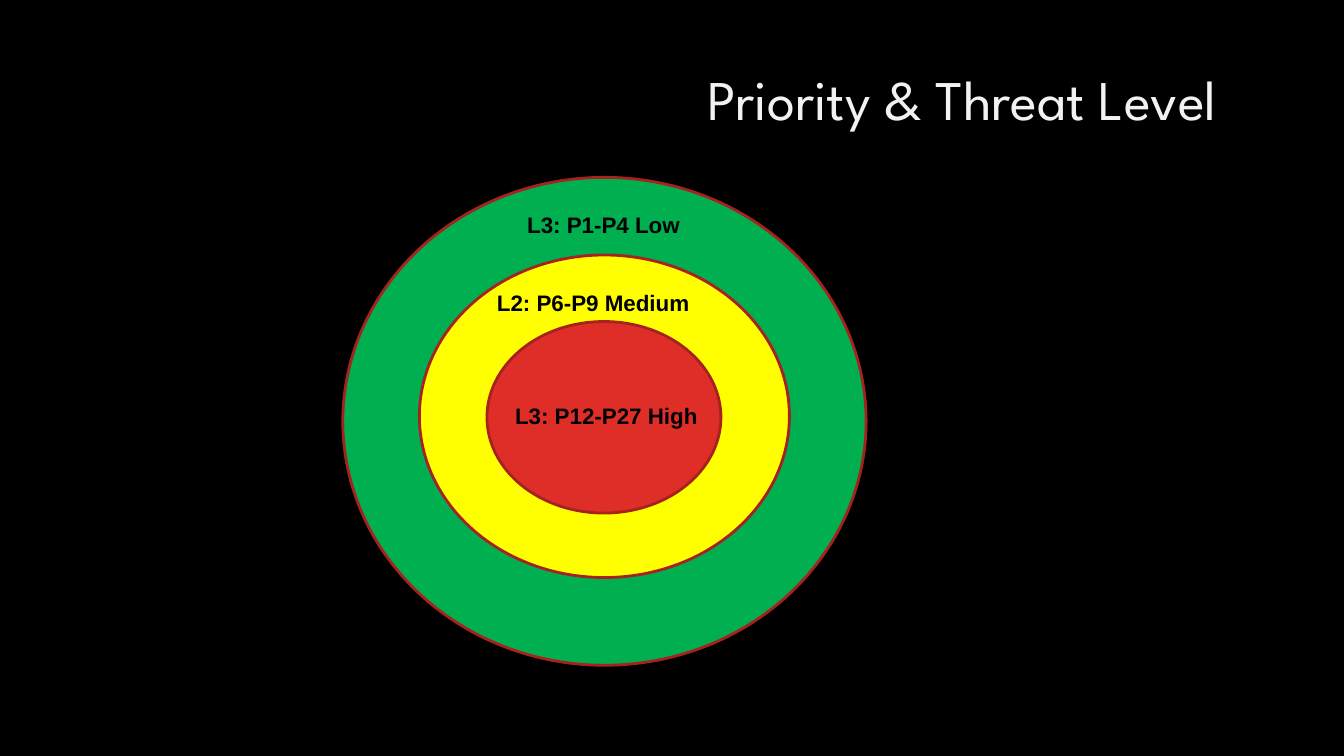
"""Build the Priority & Threat Level slide."""
from dataclasses import dataclass

from pptx import Presentation
from pptx import util as u
from pptx.dml.color import RGBColor
from pptx.enum import shapes as es

BLACK = RGBColor(0x00, 0x00, 0x00)
WHITE = RGBColor(0xF2, 0xF2, 0xF2)
GREEN = RGBColor(0x00, 0xB0, 0x50)
YELLOW = RGBColor(0xFF, 0xFF, 0x00)
RED = RGBColor(0xDF, 0x2E, 0x28)
EDGE = RGBColor(0xA5, 0x22, 0x1E)

Box = tuple[float, float, float, float]
HEAD = {"name": "League Spartan", "size": u.Pt(40)}
BODY = {"name": "Arial", "size": u.Pt(16), "bold": True}


@dataclass
class Ring:
    box: Box
    fill: RGBColor


@dataclass
class Label:
    box: Box
    text: str
    font: dict
    color: RGBColor = BLACK


RINGS = [
    Ring((3.4, 1.76, 5.19, 4.84), GREEN),
    Ring((4.16, 2.53, 3.67, 3.2), YELLOW),
    Ring((4.83, 3.19, 2.32, 1.9), RED),
]
LABELS = [
    Label((6.92, 0.59, 6.17, 0.77), "Priority & Threat Level", HEAD, WHITE),
    Label((5.13, 2.05, 1.72, 0.37), "L3: P1-P4 Low", BODY),
    Label((4.83, 2.82, 2.19, 0.37), "L2: P6-P9 Medium", BODY),
    Label((5.01, 3.94, 2.02, 0.37), "L3: P12-P27 High", BODY),
]


def add_ring(slide, ring: Ring) -> None:
    """Draw one threat ring."""
    oval = slide.shapes.add_shape(es.MSO_SHAPE.OVAL, *map(u.Inches, ring.box))
    oval.shadow.inherit = False
    oval.fill.solid()
    oval.fill.fore_color.rgb = ring.fill
    oval.line.color.rgb = EDGE
    oval.line.width = u.Pt(2)


def add_label(slide, label: Label) -> None:
    """Write one line of text."""
    frame = slide.shapes.add_textbox(*map(u.Inches, label.box)).text_frame
    frame.word_wrap = True
    run = frame.paragraphs[0].add_run()
    run.text = label.text
    for key, value in label.font.items():
        setattr(run.font, key, value)
    run.font.color.rgb = label.color


def main() -> None:
    """Make and save the deck."""
    deck = Presentation()
    deck.slide_width, deck.slide_height = u.Inches(13.33), u.Inches(7.5)
    slide = deck.slides.add_slide(deck.slide_layouts[6])
    slide.background.fill.solid()
    slide.background.fill.fore_color.rgb = BLACK
    for ring in RINGS:
        add_ring(slide, ring)
    for label in LABELS:
        add_label(slide, label)
    deck.save("out.pptx")


if __name__ == "__main__":
    main()
